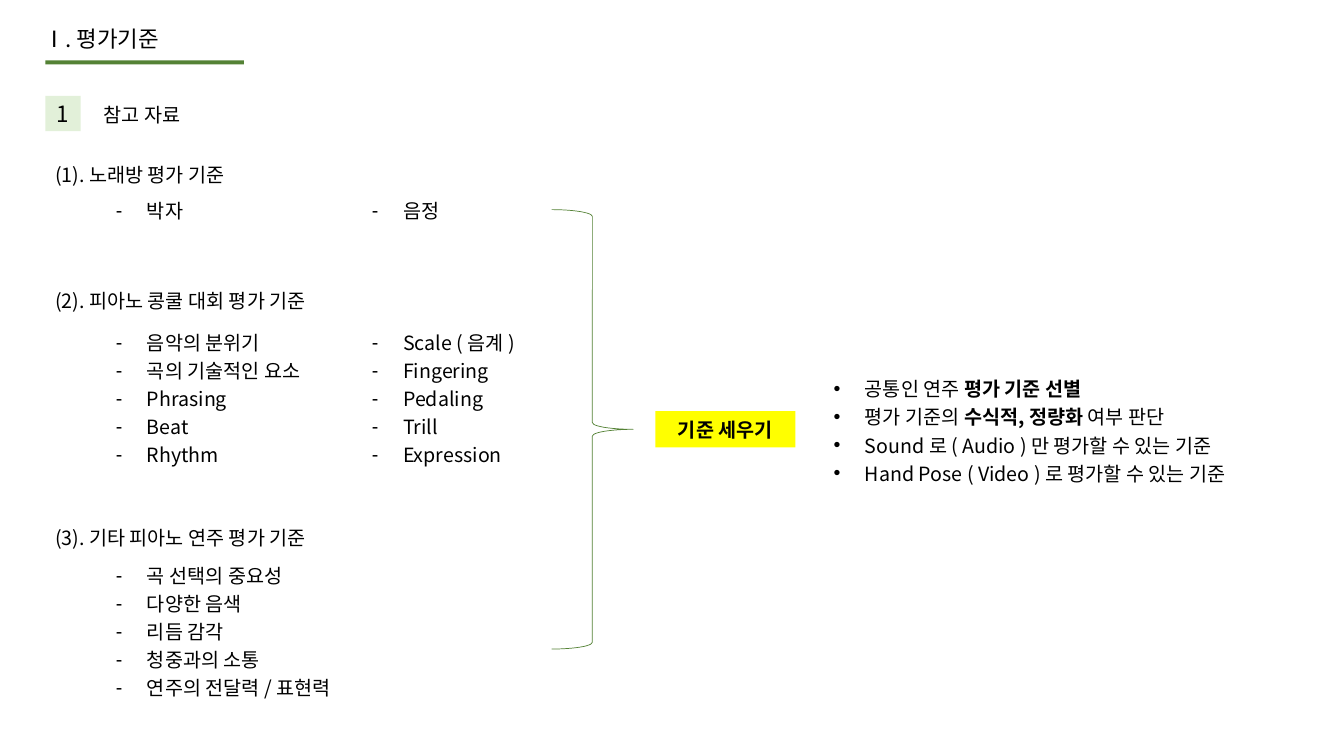
import pptx
import pptx.util
import pptx.dml.color
import pptx.enum.shapes
import pptx.enum.text
import pptx.oxml.ns
from dataclasses import dataclass
from lxml import etree

Inches = pptx.util.Inches
Pt = pptx.util.Pt
Kind = pptx.enum.shapes.MSO_SHAPE
Align = pptx.enum.text.PP_ALIGN
Anchor = pptx.enum.text.MSO_ANCHOR
Fit = pptx.enum.text.MSO_AUTO_SIZE


@dataclass(frozen=True)
class Theme:
    font: str = "Noto Sans CJK KR"
    ink: str = "000000"
    green: str = "548235"
    pale: str = "E2F0D9"
    yellow: str = "FFFF00"
    large: int = 16
    body: int = 14


THEME = Theme()

# Heading, top of heading, top of lists, line pitch, columns
GROUPS = [
    ("노래방 평가 기준", 1.55, 1.91, 18, [["박자"], ["음정"]]),
    ("피아노 콩쿨 대회 평가 기준", 2.8, 3.19, 20, [
        ["음악의 분위기", "곡의 기술적인 요소", "Phrasing", "Beat", "Rhythm"],
        ["Scale ( 음계 )", "Fingering", "Pedaling", "Trill", "Expression"]]),
    ("기타 피아노 연주 평가 기준", 5.15, 5.5, 20, [
        ["곡 선택의 중요성", "다양한 음색", "리듬 감각", "청중과의 소통",
         "연주의 전달력 / 표현력"]]),
]

# Asterisks enclose bold words
GOALS = [
    "공통인 연주 *평가 기준 선별*",
    "평가 기준의 *수식적, 정량화* 여부 판단",
    "Sound 로 ( Audio ) 만 평가할 수 있는 기준",
    "Hand Pose ( Video ) 로 평가할 수 있는 기준",
]


def color(code):
    return pptx.dml.color.RGBColor.from_string(code)


def add_tag(parent, tag, **attrs):
    return etree.SubElement(parent, pptx.oxml.ns.qn(tag), attrs)


def write(shape, lines, size=THEME.body, align=Align.LEFT, anchor=Anchor.TOP,
          pitch=None, bullet=None, fit=Fit.NONE):
    """Fill a shape with paragraphs; asterisks toggle bold."""
    frame = shape.text_frame
    frame.word_wrap = True
    frame.auto_size = fit
    frame.vertical_anchor = anchor
    for i, line in enumerate(lines):
        para = frame.add_paragraph() if i else frame.paragraphs[0]
        para.alignment = align
        para.line_spacing = Pt(pitch) if pitch else 1.0
        if bullet:
            props = para._p.get_or_add_pPr()
            props.set("marL", str(Inches(0.31)))
            props.set("indent", str(-Inches(0.31)))
            add_tag(props, "a:buFont", typeface="Arial")
            add_tag(props, "a:buChar", char=bullet)
        for j, part in enumerate(line.split("*")):
            if part:
                run = para.add_run()
                run.text = part
                run.font.size = Pt(size)
                run.font.bold = j % 2 == 1
                run.font.name = THEME.font
                run.font.color.rgb = color(THEME.ink)
                add_tag(run._r.get_or_add_rPr(), "a:ea", typeface=THEME.font)


def add_title(slide, words, left, top, width, height):
    title = slide.shapes.title
    title.left, title.top = Inches(left), Inches(top)
    title.width, title.height = Inches(width), Inches(height)
    write(title, [words], size=THEME.large)


def add_text(slide, lines, left, top, width, height, **style):
    box = slide.shapes.add_textbox(
        Inches(left), Inches(top), Inches(width), Inches(height))
    write(box, lines, fit=Fit.SHAPE_TO_FIT_TEXT, **style)


def add_form(slide, kind, left, top, width, height, fill=None, line=None):
    form = slide.shapes.add_shape(
        kind, Inches(left), Inches(top), Inches(width), Inches(height))
    form.shadow.inherit = False
    if fill:
        form.fill.solid()
        form.fill.fore_color.rgb = color(fill)
    else:
        form.fill.background()
    if line:
        form.line.color.rgb = color(line)
        form.line.width = Pt(0.5)
    else:
        form.line.fill.background()
    return form


def add_label(slide, words, left, top, width, height, fill, size=THEME.body):
    label = add_form(slide, Kind.RECTANGLE, left, top, width, height, fill=fill)
    write(label, [words], size=size, align=Align.CENTER, anchor=Anchor.MIDDLE)


def add_group(slide, number, name, top, start, pitch, columns):
    add_text(slide, [f"({number}). {name}"], 0.45, top, 5.5, 0.35, pitch=18)
    width = 2.27 if len(columns) > 1 else 2.64
    for i, items in enumerate(columns):
        height = 0.1 + len(items) * pitch / 72
        add_text(slide, items, 1.05 + 2.54 * i, start, width, height,
                 pitch=pitch, bullet="-")


def main():
    deck = pptx.Presentation()
    deck.slide_width, deck.slide_height = Inches(13.33), Inches(7.5)
    slide = deck.slides.add_slide(deck.slide_layouts[5])

    # Title and section heading
    add_form(slide, Kind.RECTANGLE, 0.45, 0.6, 1.97, 0.04, fill=THEME.green)
    add_title(slide, "Ⅰ. 평가기준", 0.33, 0.2, 3.19, 0.37)
    add_label(slide, "1", 0.45, 0.95, 0.35, 0.35, THEME.pale, size=THEME.large)
    add_text(slide, ["참고 자료"], 0.93, 0.97, 1.97, 0.34)

    # Reference criteria
    for number, group in enumerate(GROUPS, 1):
        add_group(slide, number, *group)

    # Brace leading to the conclusion
    add_form(slide, Kind.RIGHT_BRACE, 5.47, 2.08, 0.81, 4.36, line=THEME.green)
    add_label(slide, "*기준 세우기*", 6.5, 4.08, 1.39, 0.36, THEME.yellow)
    add_text(slide, GOALS, 8.17, 3.65, 4.48, 1.22, pitch=20, bullet="•")

    deck.save("out.pptx")


if __name__ == "__main__":
    main()
